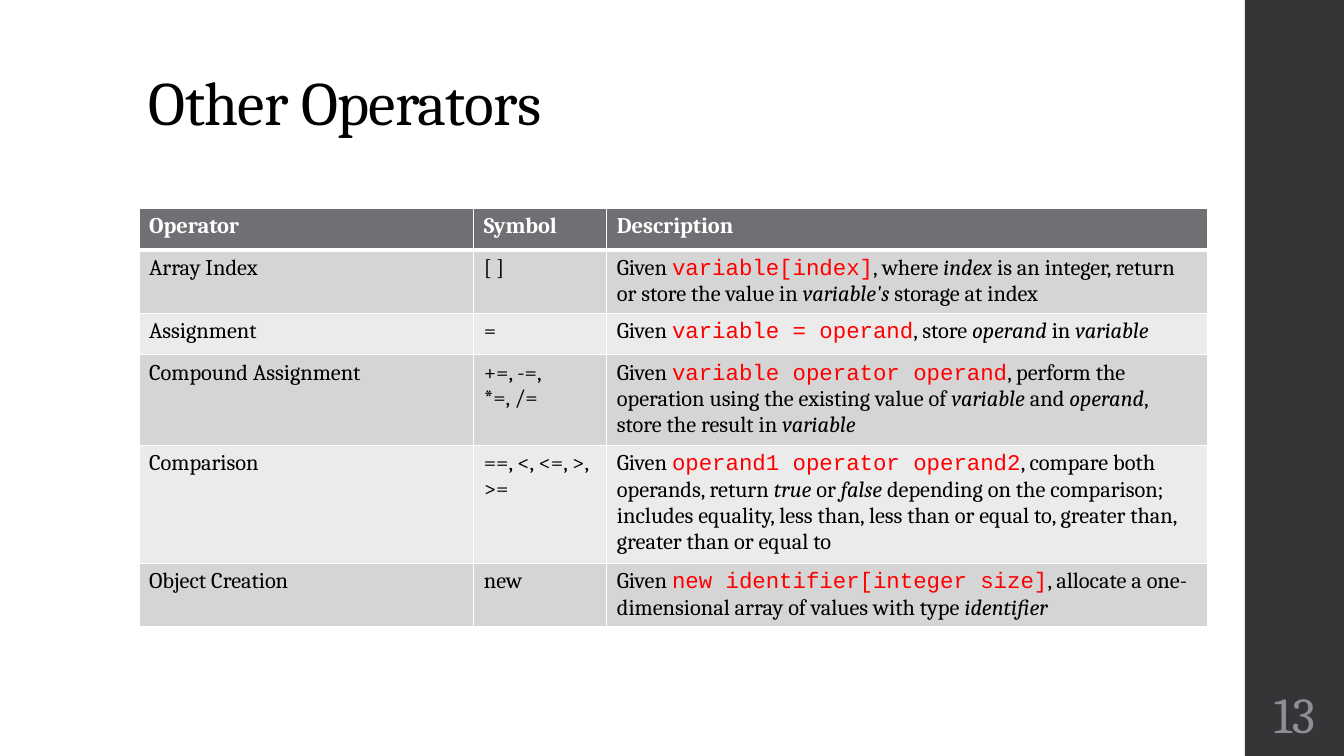
from dataclasses import dataclass

from lxml.etree import SubElement
from pptx import Presentation
from pptx.dml.color import RGBColor
from pptx.enum.shapes import MSO_SHAPE
from pptx.enum.text import MSO_ANCHOR, PP_ALIGN
from pptx.oxml.ns import qn
from pptx.util import Inches, Pt


@dataclass(frozen=True)
class Theme:
    body_font: str = "Cambria"
    code_font: str = "Courier New"
    ink: str = "000000"
    paper: str = "FFFFFF"
    strip: str = "353537"
    number: str = "8E8E94"
    code: str = "FF0000"
    header: str = "6F6F74"
    bands: tuple = ("D5D5D6", "EBEBEB")
    title_size: int = 44
    number_size: int = 36
    table_size: int = 16
    thin: int = 1
    thick: int = 3


@dataclass(frozen=True)
class Span:
    text: str
    code: bool = False
    italic: bool = False


def code(text):
    return Span(text, code=True)


def italic(text):
    return Span(text, italic=True)


class SlideBuilder:
    COLUMNS, ROWS = 32, 18

    def __init__(self, presentation, theme):
        self.theme = theme
        self.column = presentation.slide_width / self.COLUMNS
        self.row = presentation.slide_height / self.ROWS
        self.slide = presentation.slides.add_slide(presentation.slide_layouts[6])

    def place(self, left, top, width, height):
        return (round(left * self.column), round(top * self.row),
                round(width * self.column), round(height * self.row))

    def add_spans(self, paragraph, spans, size, color, bold=False, spacing=0):
        for span in spans:
            if isinstance(span, str):
                span = Span(span)
            run = paragraph.add_run()
            run.text = span.text
            run.font.size = Pt(size)
            run.font.bold = bold
            run.font.italic = span.italic
            run.font.name = self.theme.code_font if span.code else self.theme.body_font
            run.font.color.rgb = RGBColor.from_string(self.theme.code if span.code else color)
            if spacing:
                run._r.get_or_add_rPr().set("spc", str(round(spacing * 100)))

    def rectangle(self, area, color):
        shape = self.slide.shapes.add_shape(MSO_SHAPE.RECTANGLE, *self.place(*area))
        shape.shadow.inherit = False
        shape.fill.solid()
        shape.fill.fore_color.rgb = RGBColor.from_string(color)
        shape.line.fill.background()

    def text(self, area, spans, size, color, anchor, align=PP_ALIGN.LEFT,
             line_spacing=1.0, spacing=0):
        frame = self.slide.shapes.add_textbox(*self.place(*area)).text_frame
        frame.word_wrap = True
        frame.vertical_anchor = anchor
        paragraph = frame.paragraphs[0]
        paragraph.alignment = align
        paragraph.line_spacing = line_spacing
        self.add_spans(paragraph, spans, size, color, spacing=spacing)

    def borders(self, cell, top, bottom):
        properties = cell._tc.get_or_add_tcPr()
        thin = self.theme.thin
        for side, width in zip("LRTB", (thin, thin, top, bottom)):
            line = SubElement(properties, qn(f"a:ln{side}"), w=str(Pt(width)))
            fill = SubElement(line, qn("a:solidFill"))
            SubElement(fill, qn("a:srgbClr"), val=self.theme.paper)

    def table(self, left, top, widths, row_height, records):
        theme = self.theme
        area = self.place(left, top, sum(widths), row_height * len(records))
        table = self.slide.shapes.add_table(len(records), len(widths), *area).table
        for column, width in zip(table.columns, widths):
            column.width = round(width * self.column)
        for index, record in enumerate(records):
            is_header = index == 0
            fill = theme.header if is_header else theme.bands[(index - 1) % 2]
            color = theme.paper if is_header else theme.ink
            above = theme.thick if index == 1 else theme.thin
            below = theme.thick if is_header else theme.thin
            for cell, spans in zip(table.rows[index].cells, record):
                self.borders(cell, above, below)
                cell.fill.solid()
                cell.fill.fore_color.rgb = RGBColor.from_string(fill)
                spans = [spans] if isinstance(spans, str) else spans
                self.add_spans(cell.text_frame.paragraphs[0], spans,
                               theme.table_size, color, bold=is_header)


GIVEN = "Given\u00a0"
OPERATORS = [
    ("Operator", "Symbol", "Description"),
    ("Array Index", "[ ]", [
        GIVEN, code("variable[index]"), ", where\u00a0", italic("index"),
        "\u00a0is an integer, return or store the value in\u00a0",
        italic("variable's"), "\u00a0storage at index"]),
    ("Assignment", "=", [
        GIVEN, code("variable = operand"), ", store\u00a0", italic("operand"),
        "\u00a0in\u00a0", italic("variable")]),
    ("Compound Assignment", "+=, -=, *=, /=", [
        GIVEN, code("variable operator operand"),
        ", perform the operation using the existing value of\u00a0",
        italic("variable"), "\u00a0and\u00a0", italic("operand"),
        ", store the result in ", italic("variable")]),
    ("Comparison", "==, <, <=, >, >=", [
        GIVEN, code("operand1 operator operand2"),
        ", compare both operands, return\u00a0", italic("true"),
        "\u00a0or\u00a0", italic("false"),
        "\u00a0depending on the comparison; includes equality, less than, "
        "less than or equal to, greater than, greater than or equal to"]),
    ("Object Creation", "new", [
        GIVEN, code("new identifier[integer size]"),
        ", allocate a one-dimensional array of values with type\u00a0",
        italic("identifier")]),
]

presentation = Presentation()
presentation.slide_width = Inches(13.33)
presentation.slide_height = Inches(7.5)
theme = Theme()
builder = SlideBuilder(presentation, theme)

margin = 3.31
strip_left = 29.64
strip_width = builder.COLUMNS - strip_left
column_widths = (7.97, 3.17, 14.3)

builder.rectangle((strip_left, 0, strip_width, builder.ROWS), theme.strip)
builder.text((margin, 0.96, sum(column_widths), 2.47), ["Other Operators"],
             theme.title_size, theme.ink, MSO_ANCHOR.BOTTOM,
             line_spacing=0.9, spacing=-0.5)
builder.table(margin, 4.97, column_widths, 0.98, OPERATORS)
builder.text((strip_left, 16.2, strip_width, 1.56), ["13"],
             theme.number_size, theme.number, MSO_ANCHOR.MIDDLE, PP_ALIGN.CENTER)

presentation.save("out.pptx")
